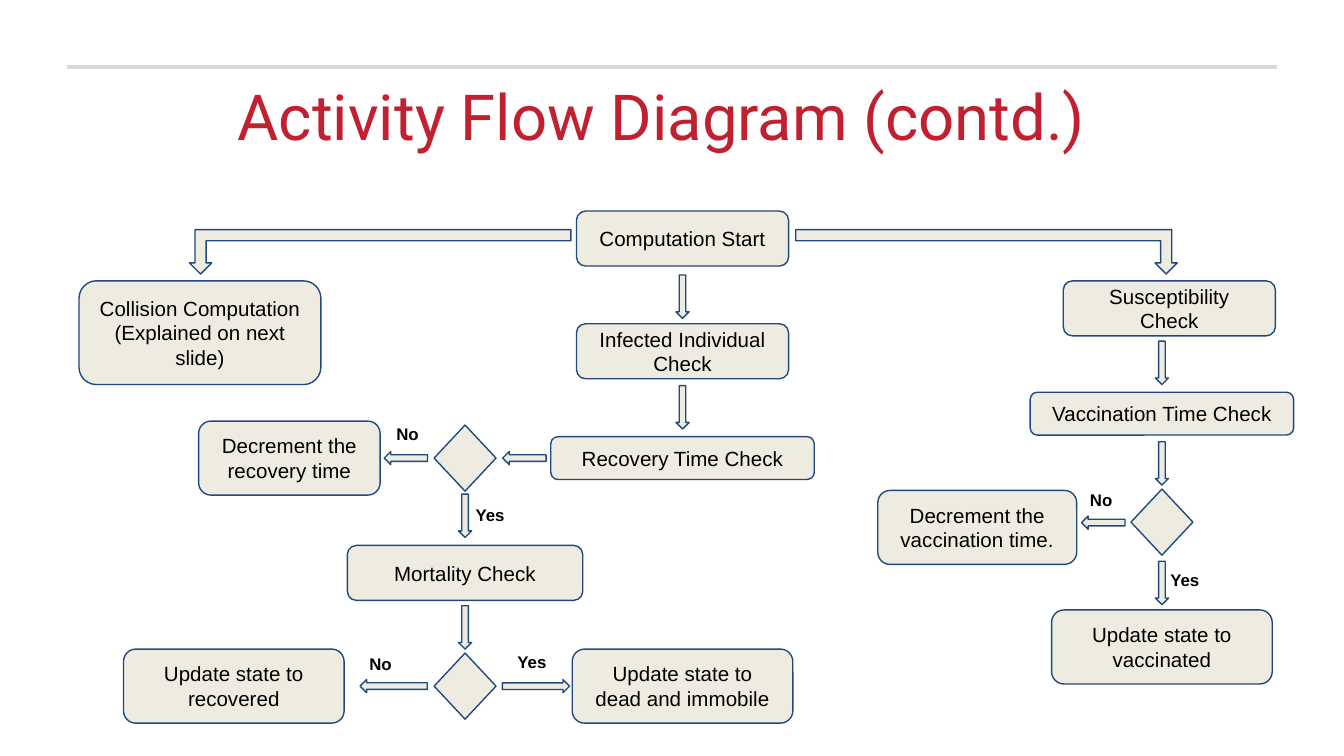
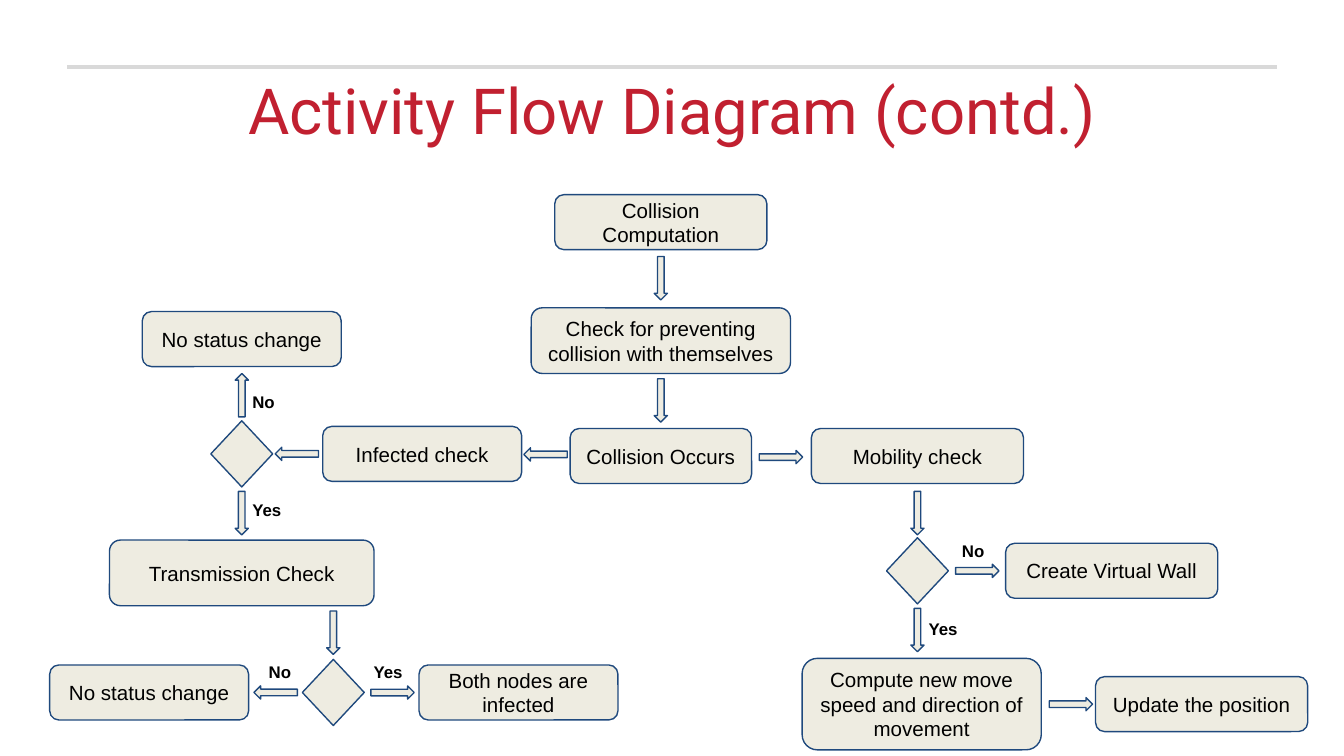
from dataclasses import dataclass

from lxml.etree import SubElement
from pptx import Presentation
from pptx.dml.color import RGBColor as RGB
from pptx.enum.shapes import MSO_CONNECTOR as CONN, MSO_SHAPE as SHAPE
from pptx.enum.text import MSO_ANCHOR as ANCHOR, MSO_AUTO_SIZE as AUTO, PP_ALIGN as ALIGN
from pptx.oxml.ns import qn
from pptx.util import Cm, Pt


@dataclass(frozen=True)
class Theme:
    title: RGB = RGB(0xC1, 0x20, 0x30)
    rule: RGB = RGB(0xD9, 0xD9, 0xD9)
    fill: RGB = RGB(0xEE, 0xEC, 0xE1)
    line: RGB = RGB(0x1F, 0x49, 0x7D)
    text: RGB = RGB(0, 0, 0)
    title_font: str = "Roboto"
    body_font: str = "Arial"
    title_size: int = 34
    node_size: int = 11
    label_size: int = 9


T = Theme()
STEP = (4.01, 1.04)
CHECK = (4.98, 0.81)
SHORT = (3.76, 1.04)
OUTCOME = (4.17, 1.4)
TURN = {"down": 0, "left": 90, "up": 180, "right": 270}


def write(tf, text, size, font, color, bold=False, align=ALIGN.CENTER, pad=0.25):
    tf.word_wrap = True
    tf.margin_left = tf.margin_right = Cm(0.25)
    tf.margin_top = tf.margin_bottom = Cm(pad)
    p = tf.paragraphs[0]
    p.alignment = align
    for i, part in enumerate(text.split("\n")):
        if i:
            p.add_line_break()
        r = p.add_run()
        r.text = part
        r.font.size = Pt(size)
        r.font.name = font
        r.font.bold = bold
        r.font.color.rgb = color


@dataclass
class Region:
    s: object
    x: float
    y: float

    def shape(self, kind, left, top, w, h):
        sp = self.s.shapes.add_shape(kind, Cm(self.x + left), Cm(self.y + top), Cm(w), Cm(h))
        sp.shadow.inherit = False
        sp.fill.solid()
        sp.fill.fore_color.rgb = T.fill
        sp.line.color.rgb = T.line
        sp.line.width = Pt(0.75)
        return sp

    def centred(self, kind, cx, cy, w, h):
        return self.shape(kind, cx - w / 2, cy - h / 2, w, h)

    def node(self, text, cx, cy, size=STEP):
        tf = self.centred(SHAPE.ROUNDED_RECTANGLE, cx, cy, *size).text_frame
        tf.vertical_anchor = ANCHOR.MIDDLE
        write(tf, text, T.node_size, T.body_font, T.text)

    def decision(self, cx, cy):
        self.centred(SHAPE.DIAMOND, cx, cy, 1.17, 1.25)

    def arrow(self, cx, cy, way="down", length=0.82):
        self.centred(SHAPE.DOWN_ARROW, cx, cy, 0.25, length).rotation = TURN[way]

    def bend(self, left, top, flip=False):
        sp = self.shape(SHAPE.BENT_UP_ARROW, left, top, 7.21, 0.84)
        sp.rotation = 180
        if flip:
            sp._element.spPr.find(qn("a:xfrm")).set("flipH", "1")

    def label(self, text, left, top, w=1.17):
        sp = self.s.shapes.add_textbox(Cm(self.x + left), Cm(self.y + top), Cm(w), Cm(0.89))
        write(sp.text_frame, text, T.label_size, T.body_font, T.text, True, ALIGN.LEFT)
        sp.text_frame.auto_size = AUTO.SHAPE_TO_FIT_TEXT


def add_flow_slide(prs, left, top, height):
    s = prs.slides.add_slide(prs.slide_layouts[6])
    rule = s.shapes.add_connector(CONN.STRAIGHT, Cm(1.27), Cm(1.27), Cm(24.13), Cm(1.27))
    rule.line.color.rgb = T.rule
    rule.line.width = Pt(2)
    SubElement(rule._element.spPr, qn("a:effectLst"))
    sp = s.shapes.add_textbox(Cm(left), Cm(top), Cm(22.86), Cm(height))
    write(sp.text_frame, "Activity Flow Diagram (contd.)", T.title_size,
          T.title_font, T.title, pad=0.13)
    return s


def start_branch(box):
    box.node("Computation Start", 11.4, 0.51)
    box.bend(2.08, 0.34)
    box.bend(13.54, 0.34, flip=True)
    box.arrow(11.4, 1.61)
    box.node("Collision Computation\n(Explained on next slide)", 2.28, 2.29, (4.57, 1.96))


def recovery_branch(box):
    main, side = 10.6, 6.49
    row, last = 2.56, 6.87
    box.node("Infected Individual Check", main, 0.54)
    box.arrow(main, 1.6)
    box.node("Recovery Time Check", main, row, CHECK)
    box.arrow(7.61, row, "left")
    box.decision(side, row)
    box.arrow(5.37, row, "left")
    box.label("No", 4.94, 1.72)
    box.node("Decrement the recovery time", 3.17, row, (3.43, 1.4))
    box.arrow(side, 3.65)
    box.label("Yes", 6.44, 3.25)
    box.node("Mortality Check", side, 4.73, (4.45, 1.04))
    box.arrow(side, 5.76)
    box.decision(side, last)
    box.arrow(5.14, last, "left", 1.27)
    box.arrow(7.83, last, "right", 1.27)
    box.label("No", 4.43, 6.07, 2.21)
    box.label("Yes", 7.23, 6.02, 2.21)
    box.node("Update state to recovered", 2.12, last, OUTCOME)
    box.node("Update state to dead and immobile", main, last, OUTCOME)


def vaccination_branch(box):
    main = 5.36
    box.node("Susceptibility Check", 5.5, 0.53)
    box.arrow(main, 1.56)
    box.node("Vaccination Time Check", main, 2.52, CHECK)
    box.arrow(main, 3.46)
    box.decision(main, 4.57)
    box.arrow(4.25, 4.58, "left")
    box.label("No", 3.75, 3.77)
    box.node("Decrement the vaccination time.", 1.87, 4.67, (3.76, 1.4))
    box.arrow(main, 5.72)
    box.label("Yes", 5.27, 5.27)
    box.node("Update state to vaccinated", main, 6.93, OUTCOME)


def collision_branch(box):
    main = 2.49
    box.node("Collision Computation", main, 0.5)
    box.arrow(main, 1.56)
    box.node("Check for preventing collision with themselves", main, 2.74, (4.9, 1.24))
    box.arrow(main, 3.87)
    box.node("Collision Occurs", main, 4.92, (3.43, 1.04))
    box.arrow(0.31, 4.89, "left")
    box.arrow(4.76, 4.94, "right")


def transmission_branch(box):
    main, side = 3.67, 5.4
    row, last = 2.78, 7.29
    box.node("Infected check", 7.08, row, SHORT)
    box.arrow(4.71, row, "left")
    box.decision(main, row)
    box.arrow(main, 1.67, "up")
    box.label("No", 3.62, 1.41)
    box.node("No status change", main, 0.61, SHORT)
    box.arrow(main, 3.9)
    box.label("Yes", 3.62, 3.45)
    box.node("Transmission Check", main, 5.03, (5, 1.24))
    box.arrow(side, 6.16)
    box.decision(side, last)
    box.arrow(4.31, last, "left")
    box.arrow(6.52, last, "right")
    box.label("No", 3.93, 6.52)
    box.label("Yes", 5.91, 6.52)
    box.node("No status change", 1.92, last, SHORT)
    box.node("Both nodes are infected", 8.9, last, SHORT)


def mobility_branch(box):
    main, row, last = 2.24, 2.69, 5.21
    box.node("Mobility check", main, 0.52)
    box.arrow(main, 1.6)
    box.decision(main, row)
    box.arrow(3.37, row, "right")
    box.label("No", 2.83, 1.93)
    box.node("Create Virtual Wall", 5.91, row)
    box.arrow(main, 3.81)
    box.label("Yes", 2.2, 3.41)
    box.node("Compute new move speed and direction of movement", 2.32, last, (4.52, 1.73))
    box.arrow(5.14, last, "right")
    box.node("Update the position", 7.61, last)


def main():
    prs = Presentation()
    prs.slide_width = Cm(25.4)
    prs.slide_height = Cm(14.29)

    s = add_flow_slide(prs, 1.07, 1.32, 1.96)
    start_branch(Region(s, 1.5, 4))
    recovery_branch(Region(s, 2.3, 6.1))
    vaccination_branch(Region(s, 16.6, 5.3))

    s = add_flow_slide(prs, 1.27, 1.22, 1.73)
    collision_branch(Region(s, 10, 3.7))
    transmission_branch(Region(s, 0.9, 5.8))
    mobility_branch(Region(s, 15.1, 8.1))

    prs.save("out.pptx")


if __name__ == "__main__":
    main()
